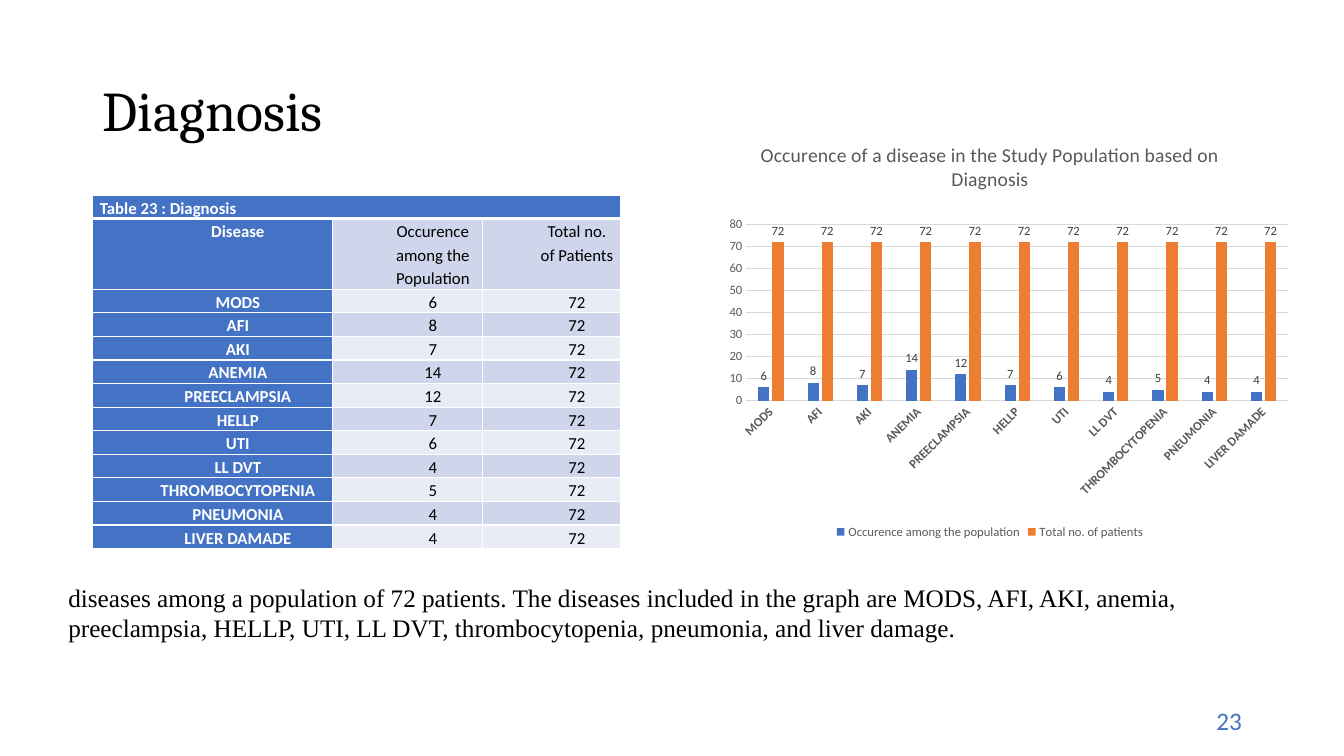
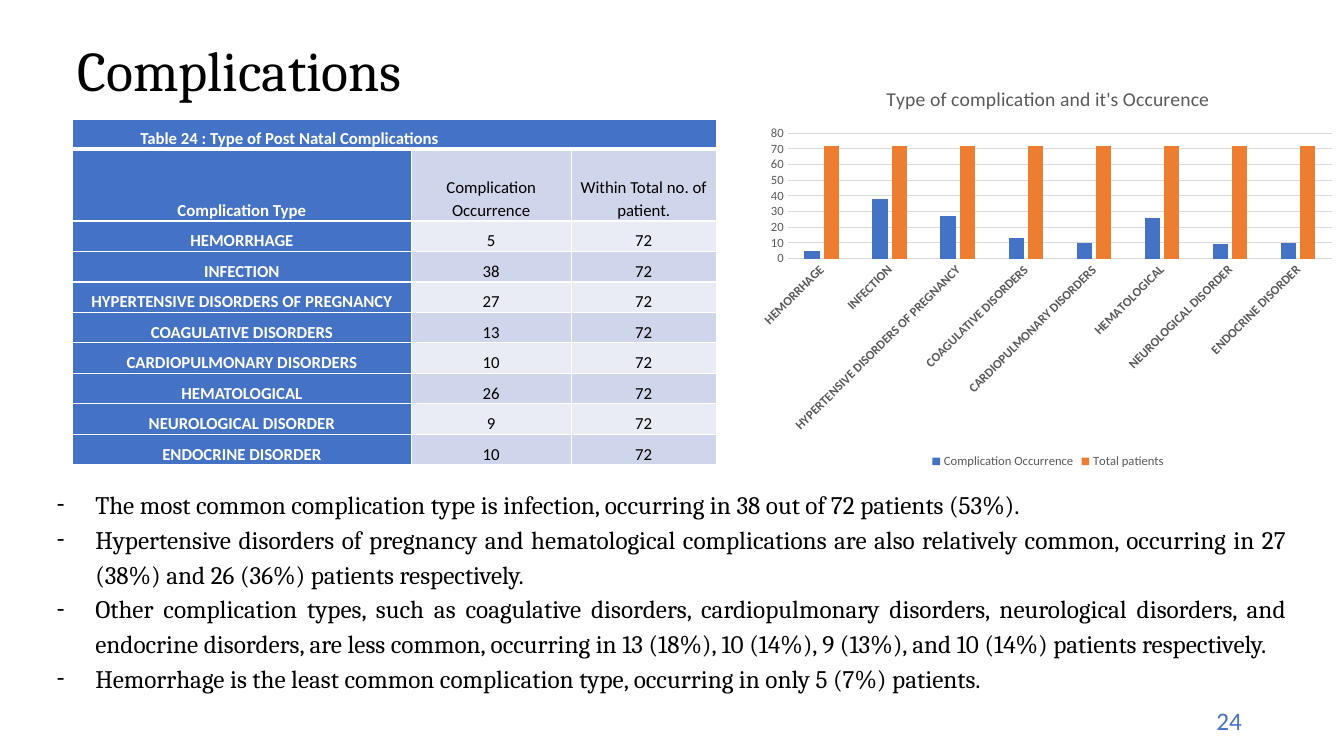
from dataclasses import dataclass

from lxml.etree import SubElement
from pptx import Presentation
from pptx.chart.chart import Chart
from pptx.chart.data import CategoryChartData
from pptx.dml.color import RGBColor
from pptx.enum.chart import (XL_CHART_TYPE, XL_LABEL_POSITION,
                             XL_LEGEND_POSITION, XL_TICK_MARK)
from pptx.enum.text import MSO_ANCHOR, MSO_AUTO_SIZE, PP_ALIGN
from pptx.oxml.ns import qn
from pptx.slide import Slide
from pptx.table import _Cell
from pptx.text.text import Font, TextFrame, _Paragraph
from pptx.util import Emu, Inches, Pt

SLIDE_WIDTH, SLIDE_HEIGHT = Inches(13.33), Inches(7.5)

BLACK = RGBColor(0x00, 0x00, 0x00)
WHITE = RGBColor(0xFF, 0xFF, 0xFF)
BLUE = RGBColor(0x44, 0x72, 0xC4)
ORANGE = RGBColor(0xED, 0x7D, 0x31)
DARK_BAND = RGBColor(0xCF, 0xD5, 0xEA)
LIGHT_BAND = RGBColor(0xE9, 0xEB, 0xF5)
GRID_GREY = RGBColor(0xD9, 0xD9, 0xD9)
TEXT_GREY = RGBColor(0x59, 0x59, 0x59)
LABEL_GREY = RGBColor(0x40, 0x40, 0x40)

BODY, HEADING, SERIF = "Calibri", "Cambria", "Times New Roman"
PATIENTS = 72


def across(percent: float) -> Emu:
    return Emu(round(SLIDE_WIDTH * percent / 100))


def down(percent: float) -> Emu:
    return Emu(round(SLIDE_HEIGHT * percent / 100))


@dataclass(frozen=True)
class Box:
    """A place on the slide, in percent of its width and height."""
    left: float
    top: float
    width: float
    height: float

    def emu(self) -> tuple[Emu, Emu, Emu, Emu]:
        return (across(self.left), down(self.top),
                across(self.width), down(self.height))


@dataclass(frozen=True)
class TextStyle:
    face: str
    size: float
    color: RGBColor
    bold: bool = False

    def apply(self, font: Font) -> None:
        font.name, font.size, font.bold = self.face, Pt(self.size), self.bold
        font.color.rgb = self.color


@dataclass(frozen=True)
class ParagraphStyle:
    align: PP_ALIGN = PP_ALIGN.LEFT
    spacing: float = 1.0
    after: float = 0
    margin: float = 0
    indent: float = 0
    bullet: str = ""

    def apply(self, paragraph: _Paragraph) -> None:
        properties = paragraph._p.get_or_add_pPr()
        properties.set("marL", str(across(self.margin)))
        properties.set("indent", str(across(self.indent)))
        if self.bullet:
            SubElement(properties, qn("a:buFont"), typeface=BODY)
            SubElement(properties, qn("a:buChar"), char=self.bullet)
        paragraph.alignment = self.align
        paragraph.line_spacing = self.spacing
        paragraph.space_after = Pt(self.after)


@dataclass(frozen=True)
class FindingsTable:
    box: Box
    caption: str
    headings: tuple[str, str, str]
    columns: tuple[float, float, float]
    caption_row: float
    heading_row: float
    finding_row: float
    anchor: MSO_ANCHOR
    caption_style: ParagraphStyle
    cell_style: ParagraphStyle


@dataclass(frozen=True)
class FindingsChart:
    box: Box
    title: str
    series: tuple[str, str]
    plot: tuple[float, float, float, float]
    value_labels: bool


@dataclass(frozen=True)
class Topic:
    title: str
    title_box: Box
    page: int
    findings: dict[str, int]
    table: FindingsTable
    chart: FindingsChart
    remarks_box: Box
    remarks: tuple[str, ...]
    remark_text: TextStyle
    remark_style: ParagraphStyle


TITLE_TEXT = TextStyle(HEADING, 40, BLACK)
PAGE_TEXT = TextStyle(BODY, 18, BLUE)
LABEL_TEXT = TextStyle(BODY, 12, WHITE, True)
VALUE_TEXT = TextStyle(BODY, 12, BLACK)
CHART_TITLE_TEXT = TextStyle(BODY, 14, TEXT_GREY)
CHART_TEXT = TextStyle(BODY, 9, TEXT_GREY)
CATEGORY_TEXT = TextStyle(BODY, 9, TEXT_GREY, True)
DATA_LABEL_TEXT = TextStyle(BODY, 9, LABEL_GREY)
PAGE_BOX = Box(70.65, 92.67, 22.5, 5.33)

TOPICS = (
    Topic(
        "Diagnosis", Box(6.9, 5.33, 86.25, 19.33), 23,
        {"MODS": 6, "AFI": 8, "AKI": 7, "ANEMIA": 14, "PREECLAMPSIA": 12,
         "HELLP": 7, "UTI": 6, "LL DVT": 4, "THROMBOCYTOPENIA": 5,
         "PNEUMONIA": 4, "LIVER DAMADE": 4},
        FindingsTable(
            Box(6.9, 25.8, 39.3, 43.5), "Table 23 : Diagnosis",
            ("Disease", "Occurence among the Population",
             "Total no. of Patients"),
            (17.85, 11.17, 10.28), 2.27, 2.27, 2.27, MSO_ANCHOR.TOP,
            ParagraphStyle(spacing=1.15, after=8),
            ParagraphStyle(PP_ALIGN.CENTER, 1.15, 8, margin=3.75)),
        FindingsChart(
            Box(51, 16.4, 45.3, 55.47),
            "Occurence of a disease in the Study Population based on Diagnosis",
            ("Occurence among the population", "Total no. of patients"),
            (0.1, 0.24, 0.89, 0.42), True),
        Box(4.35, 76.4, 90, 9.47),
        ("diseases among a population of 72 patients. The diseases included in "
         "the graph are MODS, AFI, AKI, anemia, preeclampsia, HELLP, UTI, "
         "LL DVT, thrombocytopenia, pneumonia, and liver damage.",),
        TextStyle(SERIF, 18, BLACK), ParagraphStyle()),
    Topic(
        "Complications", Box(5, 0, 86.25, 19.33), 24,
        {"HEMORRHAGE": 5, "INFECTION": 38,
         "HYPERTENSIVE DISORDERS OF PREGNANCY": 27,
         "COAGULATIVE DISORDERS": 13, "CARDIOPULMONARY DISORDERS": 10,
         "HEMATOLOGICAL": 26, "NEUROLOGICAL DISORDER": 9,
         "ENDOCRINE DISORDER": 10},
        FindingsTable(
            Box(5.4, 15.75, 47.9, 45.9),
            "Table 24 : Type of Post Natal Complications",
            ("Complication Type", "Complication Occurrence",
             "Within Total no. of patient."),
            (25.2, 11.9, 10.8), 4, 9.5, 4.03, MSO_ANCHOR.BOTTOM,
            ParagraphStyle(PP_ALIGN.JUSTIFY, 1.15, 10, 3.75, 0.75),
            ParagraphStyle(PP_ALIGN.CENTER, 1.15, 8)),
        FindingsChart(
            Box(55.97, 9.07, 44.03, 53.47),
            "Type of complication and it's Occurence",
            ("Complication Occurrence", "Total patients"),
            (0.06, 0.16, 0.92, 0.31), False),
        Box(3.5, 63.47, 92.95, 33.47),
        ("The most common complication type is infection, occurring in 38 out "
         "of 72 patients (53%).",
         "Hypertensive disorders of pregnancy and hematological complications "
         "are also relatively common, occurring in 27 (38%) and 26 (36%) "
         "patients respectively.",
         "Other complication types, such as coagulative disorders, "
         "cardiopulmonary disorders, neurological disorders, and endocrine "
         "disorders, are less common, occurring in 13 (18%), 10 (14%), 9 (13%), "
         "and 10 (14%) patients respectively.",
         "Hemorrhage is the least common complication type, occurring in only "
         "5 (7%) patients."),
        TextStyle(HEADING, 18, BLACK),
        ParagraphStyle(PP_ALIGN.JUSTIFY, 1.15, margin=2.85, indent=-2.85,
                       bullet="-")),
)


def write(frame: TextFrame, lines: tuple[str, ...], text: TextStyle,
          style: ParagraphStyle) -> None:
    for number, line in enumerate(lines):
        paragraph = frame.add_paragraph() if number else frame.paragraphs[0]
        style.apply(paragraph)
        run = paragraph.add_run()
        run.text = line
        text.apply(run.font)


def add_text(slide: Slide, box: Box, lines: tuple[str, ...], text: TextStyle,
             style: ParagraphStyle, anchor: MSO_ANCHOR = MSO_ANCHOR.MIDDLE,
             grow: bool = False) -> None:
    frame = slide.shapes.add_textbox(*box.emu()).text_frame
    frame.word_wrap = True
    frame.vertical_anchor = anchor
    frame.auto_size = (MSO_AUTO_SIZE.SHAPE_TO_FIT_TEXT if grow
                       else MSO_AUTO_SIZE.NONE)
    write(frame, lines, text, style)


def add_borders(cell: _Cell, bottom: float) -> None:
    properties = cell._tc.get_or_add_tcPr()
    for side, width in (("L", 1), ("R", 1), ("T", 1), ("B", bottom)):
        line = SubElement(properties, qn(f"a:ln{side}"), w=str(Pt(width)))
        fill = SubElement(line, qn("a:solidFill"))
        SubElement(fill, qn("a:srgbClr"), val=str(WHITE))


def fill_cell(cell: _Cell, words: str, text: TextStyle, style: ParagraphStyle,
              color: RGBColor, anchor: MSO_ANCHOR, bottom: float = 1) -> None:
    add_borders(cell, bottom)
    cell.fill.solid()
    cell.fill.fore_color.rgb = color
    cell.margin_left = cell.margin_right = across(0.54)
    cell.margin_top = cell.margin_bottom = 0
    cell.vertical_anchor = anchor
    write(cell.text_frame, (words,), text, style)


def add_findings_table(slide: Slide, layout: FindingsTable,
                       findings: dict[str, int]) -> None:
    rows = [layout.headings] + [(label, str(count), str(PATIENTS))
                                for label, count in findings.items()]
    table = slide.shapes.add_table(len(rows) + 1, len(layout.columns),
                                   *layout.box.emu()).table
    table.first_row = table.horz_banding = False
    for column, width in zip(table.columns, layout.columns):
        column.width = across(width)
    heights = [layout.caption_row, layout.heading_row]
    heights += [layout.finding_row] * len(findings)
    for row, height in zip(table.rows, heights):
        row.height = down(height)

    caption = table.cell(0, 0)
    caption.merge(table.cell(0, len(layout.columns) - 1))
    fill_cell(caption, layout.caption, LABEL_TEXT, layout.caption_style,
              BLUE, layout.anchor, bottom=3)
    for r, row_words in enumerate(rows, start=1):
        band = DARK_BAND if r % 2 else LIGHT_BAND
        for c, words in enumerate(row_words):
            fill_cell(table.cell(r, c), words, VALUE_TEXT if c else LABEL_TEXT,
                      layout.cell_style, band if c else BLUE, layout.anchor)


def fix_plot_area(chart: Chart, plot: tuple[float, ...]) -> None:
    """Place the inner plot by shares of the chart's size."""
    area = chart._chartSpace.chart.plotArea
    for old in area.findall(qn("c:layout")):
        area.remove(old)
    layout = SubElement(area, qn("c:layout"))
    area.insert(0, layout)
    manual = SubElement(layout, qn("c:manualLayout"))
    SubElement(manual, qn("c:layoutTarget"), val="inner")
    for mode in ("xMode", "yMode"):
        SubElement(manual, qn(f"c:{mode}"), val="edge")
    for name, share in zip("xywh", plot):
        SubElement(manual, qn(f"c:{name}"), val=str(share))


def style_axes(chart: Chart) -> None:
    categories, values = chart.category_axis, chart.value_axis
    for axis, text in ((categories, CATEGORY_TEXT), (values, CHART_TEXT)):
        axis.major_tick_mark = axis.minor_tick_mark = XL_TICK_MARK.NONE
        text.apply(axis.tick_labels.font)
    labels = categories._element.find(qn("c:txPr")).find(qn("a:bodyPr"))
    labels.set("rot", str(-45 * 60000))
    values.minimum_scale, values.maximum_scale, values.major_unit = 0, 80, 10
    values.format.line.fill.background()
    for line in (categories.format.line, values.major_gridlines.format.line):
        line.color.rgb = GRID_GREY
        line.width = Pt(0.75)


def add_findings_chart(slide: Slide, layout: FindingsChart,
                       findings: dict[str, int]) -> None:
    data = CategoryChartData()
    data.categories = list(findings)
    data.add_series(layout.series[0], list(findings.values()))
    data.add_series(layout.series[1], [PATIENTS] * len(findings))
    chart = slide.shapes.add_chart(XL_CHART_TYPE.COLUMN_CLUSTERED,
                                   *layout.box.emu(), data).chart
    TextStyle(BODY, 10, BLACK).apply(chart.font)
    write(chart.chart_title.text_frame, (layout.title,), CHART_TITLE_TEXT,
          ParagraphStyle(PP_ALIGN.CENTER))
    chart.has_legend = True
    chart.legend.position = XL_LEGEND_POSITION.BOTTOM
    chart.legend.include_in_layout = False
    CHART_TEXT.apply(chart.legend.font)
    style_axes(chart)
    fix_plot_area(chart, layout.plot)

    columns = chart.plots[0]
    columns.gap_width, columns.overlap = 219, -27
    columns.vary_by_categories = False
    for series, color in zip(columns.series, (BLUE, ORANGE)):
        series.format.fill.solid()
        series.format.fill.fore_color.rgb = color
        if layout.value_labels:
            series.data_labels.show_value = True
            series.data_labels.position = XL_LABEL_POSITION.OUTSIDE_END
            DATA_LABEL_TEXT.apply(series.data_labels.font)


def main() -> None:
    deck = Presentation()
    deck.slide_width, deck.slide_height = SLIDE_WIDTH, SLIDE_HEIGHT
    for topic in TOPICS:
        slide = deck.slides.add_slide(deck.slide_layouts[6])
        add_text(slide, topic.title_box, (topic.title,), TITLE_TEXT,
                 ParagraphStyle(spacing=0.9))
        add_findings_table(slide, topic.table, topic.findings)
        add_findings_chart(slide, topic.chart, topic.findings)
        add_text(slide, topic.remarks_box, topic.remarks, topic.remark_text,
                 topic.remark_style, MSO_ANCHOR.TOP, grow=True)
        add_text(slide, PAGE_BOX, (str(topic.page),), PAGE_TEXT,
                 ParagraphStyle(PP_ALIGN.RIGHT))
    deck.save("out.pptx")


if __name__ == "__main__":
    main()
